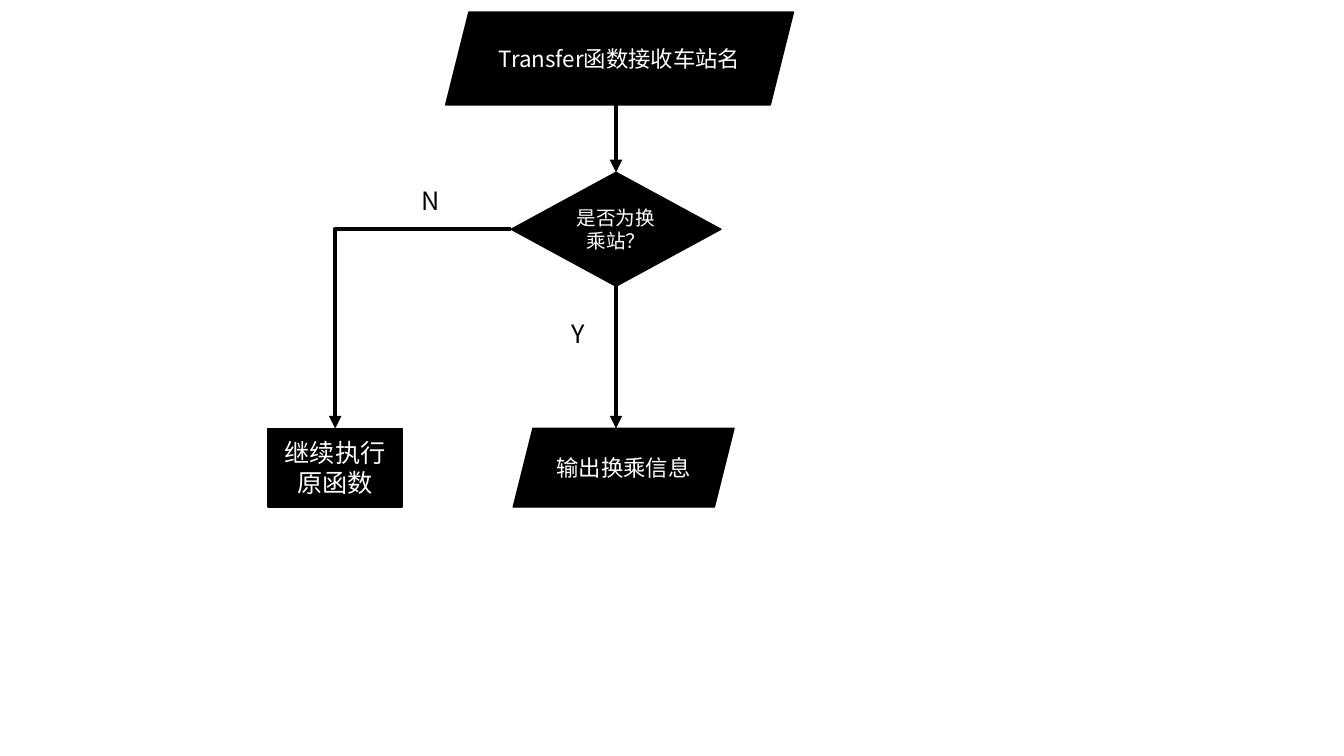
"""Draw the flowchart of the transfer-station lookup."""
from dataclasses import dataclass

from lxml.etree import SubElement
from pptx import Presentation
from pptx.dml.color import RGBColor
from pptx.enum.shapes import MSO_CONNECTOR as Route, MSO_SHAPE as Preset
from pptx.enum.text import MSO_ANCHOR as Anchor, MSO_AUTO_SIZE as AutoSize, PP_ALIGN as Align
from pptx.oxml.ns import qn
from pptx.shapes.autoshape import Shape
from pptx.shapes.connector import Connector
from pptx.slide import Slide
from pptx.util import Inches, Pt

BLACK = RGBColor(0, 0, 0)
WHITE = RGBColor(255, 255, 255)
FONT = "Noto Sans CJK SC"
AXIS = 6.11
TOP, LEFT, BOTTOM = 0, 1, 2


@dataclass
class Step:
    text: str
    preset: Preset
    left: float
    top: float
    width: float
    height: float
    size: int


@dataclass
class Label:
    text: str
    left: float
    top: float


RECEIVE = Step("Transfer函数接收车站名", Preset.PARALLELOGRAM, 4.42, 0.12, 3.45, 0.92, 16)
DECIDE = Step("是否为换乘站？", Preset.DIAMOND, 5.07, 1.71, 2.08, 1.13, 14)
OUTPUT = Step("输出换乘信息", Preset.PARALLELOGRAM, 5.09, 4.25, 2.19, 0.78, 16)
CONTINUE = Step("继续执行原函数", Preset.RECTANGLE, 2.66, 4.25, 1.33, 0.78, 18)
LABELS = [Label("N", 3.61, 1.79), Label("Y", 5.07, 3.11)]


def write(box: Shape, text: str, *, size: int, color: RGBColor, anchor: Anchor) -> None:
    frame = box.text_frame
    frame.word_wrap = True
    frame.vertical_anchor = anchor
    para = frame.paragraphs[0]
    para.alignment = Align.CENTER
    span = para.add_run()
    span.text = text
    span.font.size = Pt(size)
    span.font.name = FONT
    span.font.color.rgb = color
    SubElement(span.font._element, qn("a:ea"), typeface=FONT)


def draw_step(page: Slide, step: Step) -> Shape:
    box = page.shapes.add_shape(step.preset, Inches(step.left), Inches(step.top),
                                Inches(step.width), Inches(step.height))
    box.shadow.inherit = False
    box.fill.solid()
    box.fill.fore_color.rgb = BLACK
    box.line.color.rgb = BLACK
    box.line.width = Pt(1)
    write(box, step.text, size=step.size, color=WHITE, anchor=Anchor.MIDDLE)
    return box


def draw_label(page: Slide, label: Label) -> None:
    box = page.shapes.add_textbox(Inches(label.left), Inches(label.top),
                                  Inches(1.32), Inches(0.4))
    write(box, label.text, size=18, color=BLACK, anchor=Anchor.TOP)
    box.text_frame.auto_size = AutoSize.SHAPE_TO_FIT_TEXT


def draw_arrow(page: Slide, route: Route, start: tuple[float, float],
               end: tuple[float, float]) -> Connector:
    arrow = page.shapes.add_connector(route, *map(Inches, start + end))
    arrow.line.color.rgb = BLACK
    arrow.line.width = Pt(3)
    properties = arrow._element.spPr
    SubElement(properties.find(qn("a:ln")), qn("a:tailEnd"), type="triangle")
    SubElement(properties, qn("a:effectLst"))
    if route == Route.ELBOW:
        properties.find(qn("a:prstGeom")).set("prst", "bentConnector2")
    return arrow


def main() -> None:
    deck = Presentation()
    deck.slide_width, deck.slide_height = Inches(13.33), Inches(7.5)
    page = deck.slides.add_slide(deck.slide_layouts[6])

    draw_step(page, RECEIVE)
    decision = draw_step(page, DECIDE)
    draw_step(page, OUTPUT)
    fallback = draw_step(page, CONTINUE)

    draw_arrow(page, Route.STRAIGHT, (AXIS, 0.98), (AXIS, 1.71)).end_connect(decision, TOP)
    draw_arrow(page, Route.STRAIGHT, (AXIS, 2.84), (AXIS, 4.25)).begin_connect(decision, BOTTOM)
    branch = draw_arrow(page, Route.ELBOW, (5.07, 2.27), (3.33, 4.25))
    branch.begin_connect(decision, LEFT)
    branch.end_connect(fallback, TOP)

    for label in LABELS:
        draw_label(page, label)
    deck.save("out.pptx")


if __name__ == "__main__":
    main()
